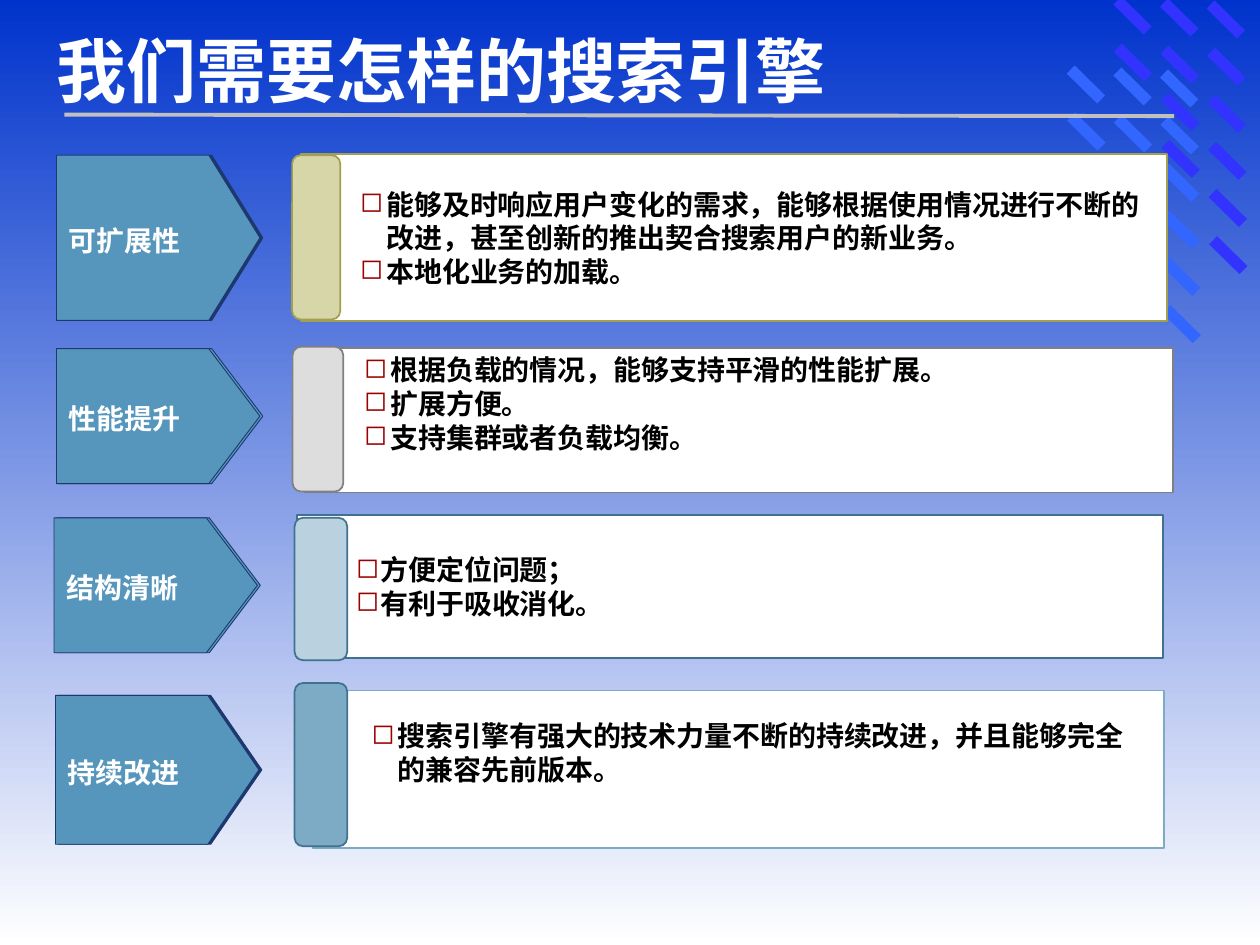
from lxml import etree
from pptx import Presentation
from pptx.dml.color import RGBColor
from pptx.enum import shapes, text
from pptx.oxml import ns
from pptx.util import Cm, Pt

COLORS = {
    "sky": "0033CC", "white": "FFFFFF", "black": "000000",
    "violet": "3333FF", "azure": "3366FF", "rule": "C0C0C0",
    "arrow": "5696BC", "navy": "1D386F", "bullet": "990000",
    "olive": "A2A04E", "sand": "D7D6A9", "gray": "808080", "silver": "DDDDDD",
    "teal": "40728F", "ice": "BAD2E0", "steel": "7DABC5",
}
CJK_FONT = "Noto Sans CJK SC"
SHAPE = shapes.MSO_SHAPE


def add_box(kind, left, top, width, height, fill, line=None, line_width=1):
    shape = slide.shapes.add_shape(kind, Cm(left), Cm(top), Cm(width), Cm(height))
    shape.shadow.inherit = False
    shape.fill.solid()
    shape.fill.fore_color.rgb = RGBColor.from_string(COLORS[fill])
    if line:
        shape.line.color.rgb = RGBColor.from_string(COLORS[line])
        shape.line.width = Pt(line_width)
    else:
        shape.line.fill.background()
    return shape


def write(shape, lines, size=16, font=CJK_FONT, color="black", insets=(0.25, 0.13, 0.25, 0.13),
          spacing=None, indent=None):
    """Fill a shape with bold left-aligned lines; an indent in cm makes them bullets."""
    frame = shape.text_frame
    frame.word_wrap = True
    frame.auto_size = text.MSO_AUTO_SIZE.NONE
    frame.vertical_anchor = text.MSO_ANCHOR.MIDDLE
    frame.margin_left, frame.margin_top, frame.margin_right, frame.margin_bottom = map(Cm, insets)
    for index, line in enumerate(lines):
        paragraph = frame.add_paragraph() if index else frame.paragraphs[0]
        paragraph.alignment = text.PP_ALIGN.LEFT
        if spacing:
            paragraph.line_spacing = spacing
        if indent:
            properties = paragraph._p.get_or_add_pPr()
            properties.set("marL", str(Cm(indent)))
            properties.set("indent", str(-Cm(indent)))
            bullet_color = etree.SubElement(properties, ns.qn("a:buClr"))
            etree.SubElement(bullet_color, ns.qn("a:srgbClr"), val=COLORS["bullet"])
            etree.SubElement(properties, ns.qn("a:buChar"), char="◻")
        run = paragraph.add_run()
        run.text = line
        run.font.size = Pt(size)
        run.font.bold = True
        run.font.color.rgb = RGBColor.from_string(COLORS[color])
        run.font.name = font
        etree.SubElement(run.font._element, ns.qn("a:ea"), typeface=CJK_FONT)


presentation = Presentation()
presentation.slide_width, presentation.slide_height = Cm(25.4), Cm(19.05)
slide = presentation.slides.add_slide(presentation.slide_layouts[5])

background = slide.background.fill
background.gradient()
background.gradient_angle = 270
for stop, color, position in zip(background.gradient_stops, ("sky", "white"), (0, 1)):
    stop.color.rgb = RGBColor.from_string(COLORS[color])
    stop.position = position

# Columns of slanted dashes: left, top, count, colour
DASH_COLUMNS = [
    (24.28, 0.28, 6, "violet"), (23.34, 0.24, 4, "violet"), (22.4, 0.2, 2, "violet"),
    (23.34, 1.67, 6, "azure"), (22.4, 1.63, 2, "azure"), (21.46, 1.59, 2, "azure"),
]
for left, top, count, color in DASH_COLUMNS:
    for row in range(count):
        dash = add_box(SHAPE.RECTANGLE, left + 0.01 * row, top + 0.95 * row, 0.86, 0.23, color)
        dash.rotation = 44.6

title = slide.shapes.title
title.left, title.top, title.width, title.height = Cm(0.89), Cm(0.33), Cm(22.86), Cm(2.16)
write(title, ["我们需要怎样的搜索引擎"], size=40, font="Times New Roman", color="white")

# Arrow: left, top, height; panel and tab: left, top, width, height
ROWS = [
    dict(label="可扩展性", arrow=(1.14, 3.13, 3.33), back="navy",
         panel=(6.07, 3.1, 17.45, 3.38), panel_line="olive",
         tab=(5.89, 3.13, 0.97, 3.31), tab_fill="sand", tab_line="olive",
         lines=["能够及时响应用户变化的需求，能够根据使用情况进行不断的改进，甚至创新的推出契合搜索用户的新业务。",
                "本地化业务的加载。"]),
    dict(label="性能提升", arrow=(1.14, 7.03, 2.72), back="arrow",
         panel=(6.15, 7.01, 17.5, 2.92), panel_line="gray",
         tab=(5.9, 6.99, 1.02, 2.92), tab_fill="silver", tab_line="gray", bottom=0.81,
         lines=["根据负载的情况，能够支持平滑的性能扩展。", "扩展方便。", "支持集群或者负载均衡。"]),
    dict(label="结构清晰", arrow=(1.09, 10.44, 2.72), back="arrow",
         panel=(5.99, 10.39, 17.45, 2.87), panel_line="teal",
         tab=(5.94, 10.44, 1.06, 2.87), tab_fill="ice", tab_line="teal",
         font="DejaVu Sans", indent=0.49,
         lines=["方便定位问题；", "有利于吸收消化。"]),
    dict(label="持续改进", arrow=(1.12, 14.02, 3), back="navy",
         panel=(6.3, 13.92, 17.17, 3.18), panel_line="steel",
         tab=(5.94, 13.77, 1.06, 3.29), tab_fill="steel", tab_line="teal", bottom=0.81,
         lines=["搜索引擎有强大的技术力量不断的持续改进，并且能够完全的兼容先前版本。"]),
]
ARROW_WIDTH, ARROW_POINT, TAB_RADIUS = 4.1, 1.03, 0.17

for row in ROWS:
    left, top, height = row["arrow"]
    for offset, fill in ((0.06, row["back"]), (0, "arrow")):
        arrow = add_box(SHAPE.PENTAGON, left + offset, top, ARROW_WIDTH, height, fill, "navy", 0.5)
        arrow.adjustments[0] = ARROW_POINT / height
    write(arrow, [row["label"]], font="Cabin", color="white", insets=(0.25, 0, 0.15, 0),
          spacing=1.15)

    panel = add_box(SHAPE.RECTANGLE, *row["panel"], "white", row["panel_line"])
    write(panel, row["lines"], font=row.get("font", CJK_FONT), indent=row.get("indent", 0.53),
          insets=(1.19, 0.13, 0.25, row.get("bottom", 0.13)))
    tab = add_box(SHAPE.ROUNDED_RECTANGLE, *row["tab"], row["tab_fill"], row["tab_line"])
    tab.adjustments[0] = TAB_RADIUS / row["tab"][2]

rule = slide.shapes.add_connector(shapes.MSO_CONNECTOR.STRAIGHT, Cm(1.3), Cm(2.31), Cm(23.67), Cm(2.34))
rule.line.color.rgb = RGBColor.from_string(COLORS["rule"])
rule.line.width = Pt(2.25)
etree.SubElement(rule._element.spPr, ns.qn("a:effectLst"))

presentation.save("out.pptx")
